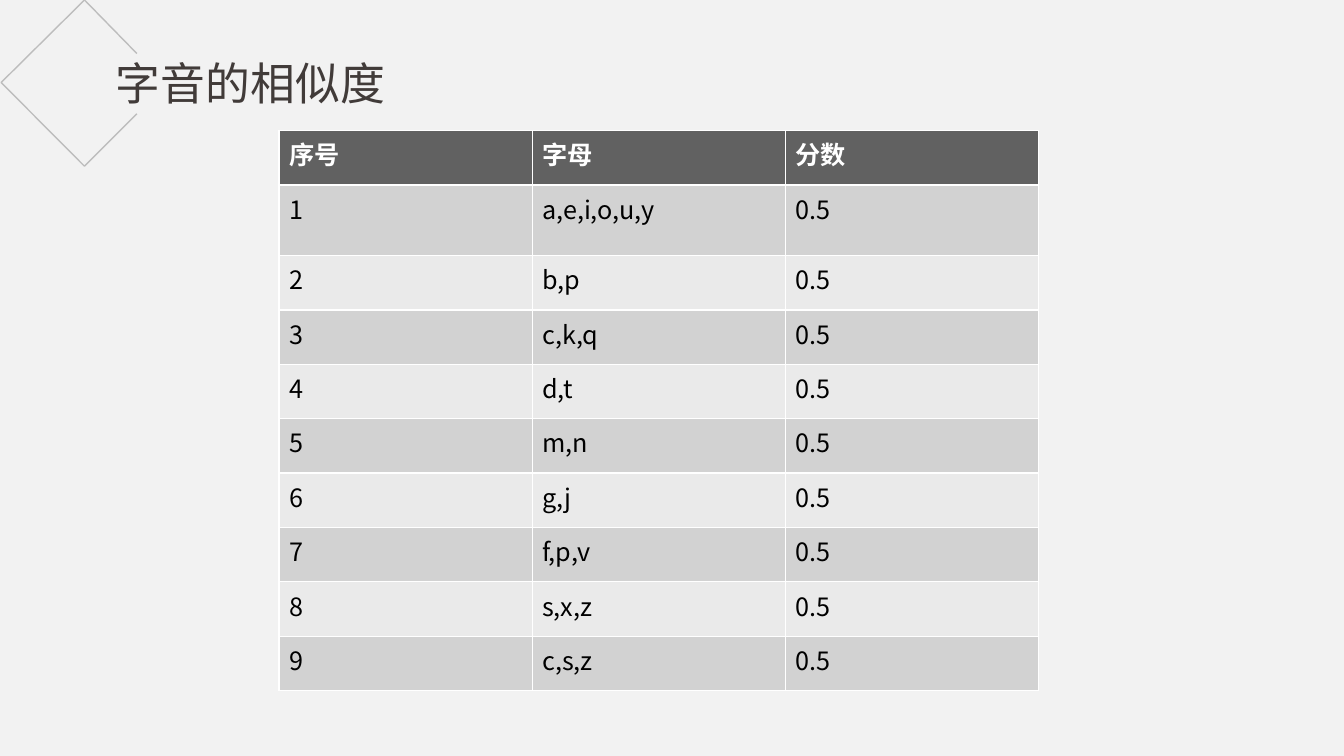
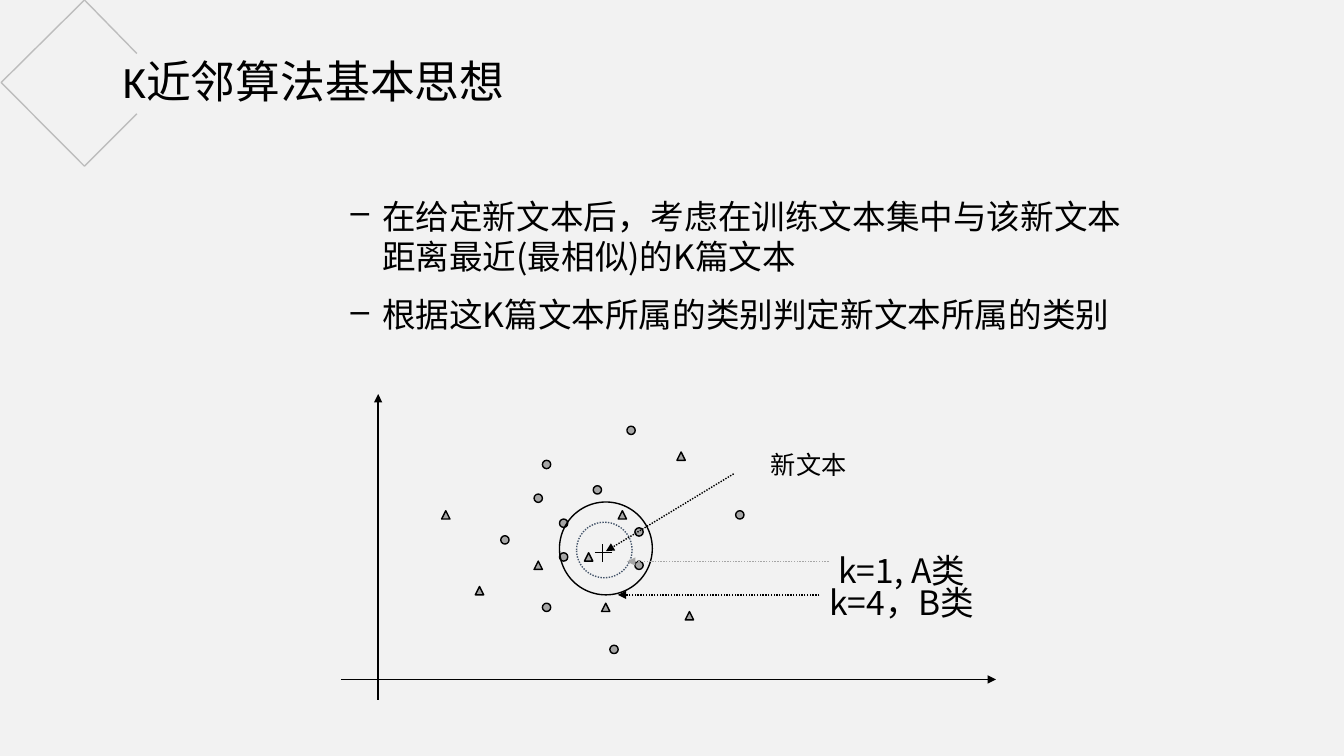
import dataclasses
import typing

import lxml.etree
import pptx
import pptx.dml.color
import pptx.enum.dml
import pptx.enum.shapes
import pptx.enum.text
import pptx.oxml.ns
import pptx.shapes.base
import pptx.slide
import pptx.text.text
import pptx.util

Cm = pptx.util.Cm
Pt = pptx.util.Pt
qn = pptx.oxml.ns.qn
Kind = pptx.enum.shapes.MSO_SHAPE
Dash = pptx.enum.dml.MSO_LINE
Align = pptx.enum.text.PP_ALIGN
Anchor = pptx.enum.text.MSO_ANCHOR

INK = {
    "page": "F2F2F2", "title": "413B39", "frame": "808080", "black": "000000",
    "white": "FFFFFF", "head": "616161", "odd": "D2D2D2", "even": "EAEAEA",
    "mark": "A6A6A6", "ring": "44546A",
}
SANS = "Noto Sans CJK SC"
GOTHIC = "Noto Sans CJK JP"
LATIN = "Calibri"
DOT = 0.21
FRAME = [(3.45, 1.35), (2.13, 0), (0.03, 2.08), (2.13, 4.19), (3.45, 2.87)]

LETTERS = ["a,e,i,o,u,y", "b,p", "c,k,q", "d,t", "m,n", "g,j", "f,p,v", "s,x,z", "c,s,z"]

POINTS = [
    "在给定新文本后，考虑在训练文本集中与该新文本距离最近(最相似)的K篇文本",
    "根据这K篇文本所属的类别判定新文本所属的类别",
]

ROUNDS = [
    (15.8, 10.74), (13.67, 11.6), (13.46, 12.45), (12.62, 13.5), (14.1, 13.08),
    (13.67, 15.2), (14.1, 13.93), (16, 13.3), (14.95, 12.24), (16, 14.14),
    (15.37, 16.26), (18.54, 12.87),
]
PEAKS = [
    (15.58, 12.87), (11.13, 12.87), (11.98, 14.78), (13.46, 14.14),
    (17.06, 11.39), (15.16, 15.2), (17.27, 15.41), (14.73, 13.93),
]


@dataclasses.dataclass(frozen=True)
class Line:
    start: tuple[float, float]
    end: tuple[float, float]
    ink: str = "black"
    dotted: bool = False
    arrow: bool = True


@dataclasses.dataclass(frozen=True)
class Label:
    text: str
    left: float
    top: float
    width: float
    height: float
    size: int
    font: str
    wrap: bool = True
    anchor: typing.Any = Anchor.TOP


LINES = [
    Line((8.59, 17.12), (25.1, 17.12)),
    Line((9.53, 17.63), (9.53, 9.93)),
    Line((18.49, 11.94), (15.27, 13.89), dotted=True),
    Line((20.88, 14.15), (15.8, 14.15), "mark", dotted=True),
    Line((20.65, 14.99), (15.57, 14.99), dotted=True),
    Line((14.99, 13.92), (15.42, 13.92), arrow=False),
    Line((15.19, 13.72), (15.19, 14.15), arrow=False),
]
LABELS = [
    Label("新文本", 19.18, 11.18, 2.97, 1.07, 18, "DejaVu Sans", False, Anchor.MIDDLE),
    Label("k=1, A类", 20.88, 13.72, 4.65, 1.27, 24, SANS),
    Label("k=4，B类", 20.65, 14.55, 4.65, 1.27, 24, SANS),
]


def tint(name: str) -> pptx.dml.color.RGBColor:
    return pptx.dml.color.RGBColor.from_string(INK[name])


def style(par: typing.Any, size: int, font: str, ink: str, bold: bool = False) -> None:
    """Format every run, with the East Asian face set as well."""
    for run in par.runs:
        run.font.size = Pt(size)
        run.font.bold = bold
        run.font.color.rgb = tint(ink)
        run.font.name = font
        east = GOTHIC if font == GOTHIC else SANS
        lxml.etree.SubElement(run.font._element, qn("a:ea"), typeface=east)


def add_box(slide: pptx.slide.Slide, left: float, top: float, width: float,
            height: float) -> pptx.text.text.TextFrame:
    box = slide.shapes.add_textbox(Cm(left), Cm(top), Cm(width), Cm(height))
    box.text_frame.word_wrap = True
    return box.text_frame


def add_title(slide: pptx.slide.Slide, text: str, left: float, top: float,
              width: float, font: str, ink: str) -> None:
    """Add the heading and the open diamond behind it."""
    par = add_box(slide, left, top, width, 1.63).paragraphs[0]
    par.text = text
    par.alignment = Align.CENTER
    style(par, 32, font, ink)

    spots = [(Cm(x), Cm(y)) for x, y in FRAME]
    pen = slide.shapes.build_freeform(*spots[0])
    pen.add_line_segments(spots[1:], close=False)
    frame = pen.convert_to_shape()
    frame.shadow.inherit = False
    frame.fill.background()
    frame.line.width = Pt(1)
    frame.line.color.rgb = tint("frame")
    for hue in frame.line._ln.iter(qn("a:srgbClr")):
        lxml.etree.SubElement(hue, qn("a:alpha"), val="45000")


def add_mark(slide: pptx.slide.Slide, kind: typing.Any, left: float, top: float,
             size: float, ink: str, fill: str | None = None,
             dotted: bool = False) -> None:
    mark = slide.shapes.add_shape(kind, Cm(left), Cm(top), Cm(size), Cm(size))
    mark.shadow.inherit = False
    if fill:
        mark.fill.solid()
        mark.fill.fore_color.rgb = tint(fill)
    else:
        mark.fill.background()
    mark.line.width = Pt(1)
    mark.line.color.rgb = tint(ink)
    if dotted:
        mark.line.dash_style = Dash.ROUND_DOT


def add_line(slide: pptx.slide.Slide, line: Line) -> None:
    ends = [Cm(n) for n in line.start + line.end]
    link = slide.shapes.add_connector(pptx.enum.shapes.MSO_CONNECTOR.STRAIGHT, *ends)
    link.line.width = Pt(1)
    link.line.color.rgb = tint(line.ink)
    if line.dotted:
        link.line.dash_style = Dash.ROUND_DOT
    if line.arrow:
        lxml.etree.SubElement(link.line._ln, qn("a:tailEnd"), type="triangle")
    lxml.etree.SubElement(link._element.spPr, qn("a:effectLst"))


def add_label(slide: pptx.slide.Slide, label: Label) -> None:
    frame = add_box(slide, label.left, label.top, label.width, label.height)
    frame.word_wrap = label.wrap
    frame.vertical_anchor = label.anchor
    frame.text = label.text
    style(frame.paragraphs[0], label.size, label.font, "black")


def add_points(slide: pptx.slide.Slide) -> None:
    frame = add_box(slide, 7.32, 4.8, 21.62, 3.25)
    frame.text = "\n".join(POINTS)
    for index, par in enumerate(frame.paragraphs):
        if index:
            par.space_before = Pt(13)
        props = par._p.get_or_add_pPr()
        props.set("marL", str(Cm(2.06)))
        props.set("indent", str(Cm(-0.79)))
        lxml.etree.SubElement(props, qn("a:buChar"), char="–")
        style(par, 24, SANS, "black")


def add_scores(slide: pptx.slide.Slide) -> None:
    rows = [("序号", "字母", "分数")]
    rows += [(str(n), text, "0.5") for n, text in enumerate(LETTERS, 1)]
    table = slide.shapes.add_table(len(rows), 3, Cm(7.03), Cm(3.29),
                                   Cm(19.14), Cm(14.1)).table
    for r, row in enumerate(rows):
        table.rows[r].height = Cm(1.78 if r == 1 else 1.37)
        fill = "head" if r == 0 else "odd" if r % 2 else "even"
        for c, text in enumerate(row):
            cell = table.cell(r, c)
            cell.fill.solid()
            cell.fill.fore_color.rgb = tint(fill)
            cell.text_frame.text = text
            par = cell.text_frame.paragraphs[0]
            if r == 0:
                style(par, 18, LATIN, "white", True)
            else:
                style(par, 18, GOTHIC, "black")


def add_plot(slide: pptx.slide.Slide) -> None:
    for kind, spots in ((Kind.FLOWCHART_CONNECTOR, ROUNDS), (Kind.FLOWCHART_EXTRACT, PEAKS)):
        for left, top in spots:
            add_mark(slide, kind, left, top, DOT, "black", "mark")
    add_mark(slide, Kind.OVAL, 14.53, 13.16, 1.4, "ring", dotted=True)
    add_mark(slide, Kind.OVAL, 14.1, 12.65, 2.34, "black")
    for line in LINES:
        add_line(slide, line)
    for label in LABELS:
        add_label(slide, label)


def main() -> None:
    deck = pptx.Presentation()
    deck.slide_width, deck.slide_height = Cm(33.87), Cm(19.05)
    ground = deck.slide_master.background.fill
    ground.solid()
    ground.fore_color.rgb = tint("page")
    blank = deck.slide_layouts[6]

    slide = deck.slides.add_slide(blank)
    add_title(slide, "字音的相似度", 1.3, 1.27, 10.03, GOTHIC, "title")
    add_scores(slide)

    slide = deck.slides.add_slide(blank)
    add_title(slide, "K近邻算法基本思想", 2.59, 1.22, 10.64, LATIN, "black")
    add_points(slide)
    add_plot(slide)

    deck.save("out.pptx")


if __name__ == "__main__":
    main()
